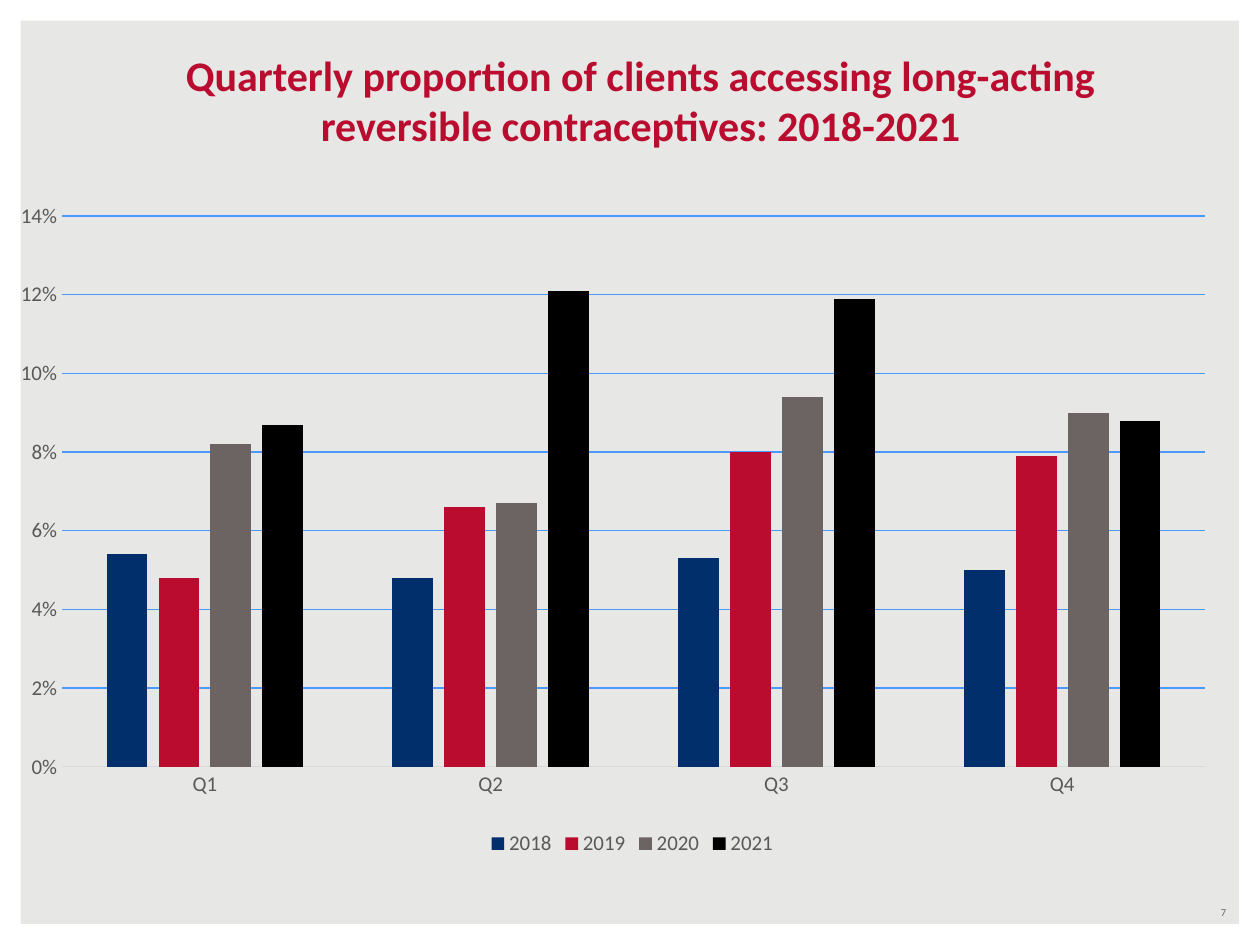
import pptx
import pptx.util
import pptx.chart.data
import pptx.dml.color
import pptx.enum.chart
import pptx.enum.shapes
import pptx.enum.text
import pptx.oxml
import pptx.oxml.ns

Cm, Pt = pptx.util.Cm, pptx.util.Pt
ALIGN = pptx.enum.text.PP_ALIGN
ANCHOR = pptx.enum.text.MSO_ANCHOR

HUES = {"back": "E7E7E5", "frame": "FFFFFF", "red": "BA0C2F", "navy": "002F6C",
        "gray": "6C6463", "black": "000000", "label": "595959",
        "base": "D9D9D9", "grid": "4A99FF"}
FONT = "Calibri"
TITLE = ("Quarterly proportion of clients accessing long-acting "
         "reversible contraceptives: 2018-2021")
PAGE = "7"
TERMS = ["Q1", "Q2", "Q3", "Q4"]
YEARS = [
    ("2018", "navy", (0.054, 0.048, 0.053, 0.05)),
    ("2019", "red", (0.048, 0.066, 0.08, 0.079)),
    ("2020", "gray", (0.082, 0.067, 0.094, 0.09)),
    ("2021", "black", (0.087, 0.121, 0.119, 0.088)),
]
PLOT = {"x": 0.03, "y": 0.027, "w": 0.942, "h": 0.839}


def tint(name):
    return pptx.dml.color.RGBColor.from_string(HUES[name])


def paint(fill, name):
    fill.solid()
    fill.fore_color.rgb = tint(name)


def style(font, size, hue, bold=False):
    font.name, font.size, font.bold = FONT, Pt(size), bold
    font.color.rgb = tint(hue)


def write(slide, text, box, size, hue, bold=False, align=ALIGN.CENTER,
          anchor=ANCHOR.MIDDLE):
    frame = slide.shapes.add_textbox(*map(Cm, box)).text_frame
    frame.word_wrap = True
    frame.vertical_anchor = anchor
    line = frame.paragraphs[0]
    line.alignment = align
    run = line.add_run()
    run.text = text
    style(run.font, size, hue, bold)


def place(chart):
    tags = ['<c:layoutTarget val="inner"/>']
    tags += [f'<c:{side}Mode val="edge"/>' for side in "xy"]
    tags += [f'<c:{key} val="{val}"/>' for key, val in PLOT.items()]
    area = chart._chartSpace.chart.plotArea
    for old in area.findall(pptx.oxml.ns.qn("c:layout")):
        area.remove(old)
    area.insert(0, pptx.oxml.parse_xml(
        f'<c:layout {pptx.oxml.ns.nsdecls("c")}><c:manualLayout>'
        f'{"".join(tags)}</c:manualLayout></c:layout>'))


def graph(slide, box):
    data = pptx.chart.data.CategoryChartData(number_format="0%")
    data.categories = TERMS
    for year, _, vals in YEARS:
        data.add_series(year, vals)
    kind = pptx.enum.chart.XL_CHART_TYPE.COLUMN_CLUSTERED
    chart = slide.shapes.add_chart(kind, *map(Cm, box), data).chart
    style(chart.font, 10, "black")
    chart.has_title = False
    plot = chart.plots[0]
    plot.gap_width, plot.overlap = 219, -27
    plot.vary_by_categories = False
    for bars, (_, hue, _) in zip(plot.series, YEARS):
        paint(bars.format.fill, hue)
        bars.invert_if_negative = False

    terms, rates = chart.category_axis, chart.value_axis
    none = pptx.enum.chart.XL_TICK_MARK.NONE
    for axis in (terms, rates):
        axis.major_tick_mark = axis.minor_tick_mark = none
        style(axis.tick_labels.font, 12, "label")
    rates.minimum_scale, rates.maximum_scale, rates.major_unit = 0, 0.15, 0.02
    rates.tick_labels.number_format = "0%"
    rates.tick_labels.number_format_is_linked = False
    rates.format.line.fill.background()
    rates.has_major_gridlines = True
    for rule, hue in ((terms.format.line, "base"),
                      (rates.major_gridlines.format.line, "grid")):
        paint(rule.fill, hue)
        rule.width = Pt(0.75)

    chart.has_legend = True
    chart.legend.position = pptx.enum.chart.XL_LEGEND_POSITION.BOTTOM
    chart.legend.include_in_layout = False
    style(chart.legend.font, 12, "label")
    place(chart)


def main():
    deck = pptx.Presentation()
    deck.slide_width, deck.slide_height = Cm(25.4), Cm(19.05)
    slide = deck.slides.add_slide(deck.slide_layouts[6])
    paint(slide.background.fill, "back")
    edge = slide.shapes.add_shape(pptx.enum.shapes.MSO_SHAPE.FRAME, 0, 0,
                                  deck.slide_width, deck.slide_height)
    edge.adjustments[0] = 0.022
    edge.shadow.inherit = False
    paint(edge.fill, "frame")
    edge.line.fill.background()
    write(slide, PAGE, (19.05, 18.14, 5.92, 0.51), 6, "gray", align=ALIGN.RIGHT)
    write(slide, TITLE, (2.12, 0.85, 21.59, 2.3), 24, "red", bold=True,
          anchor=ANCHOR.BOTTOM)
    graph(slide, (0.42, 3.18, 24.56, 14.18))
    deck.save("out.pptx")


if __name__ == "__main__":
    main()
